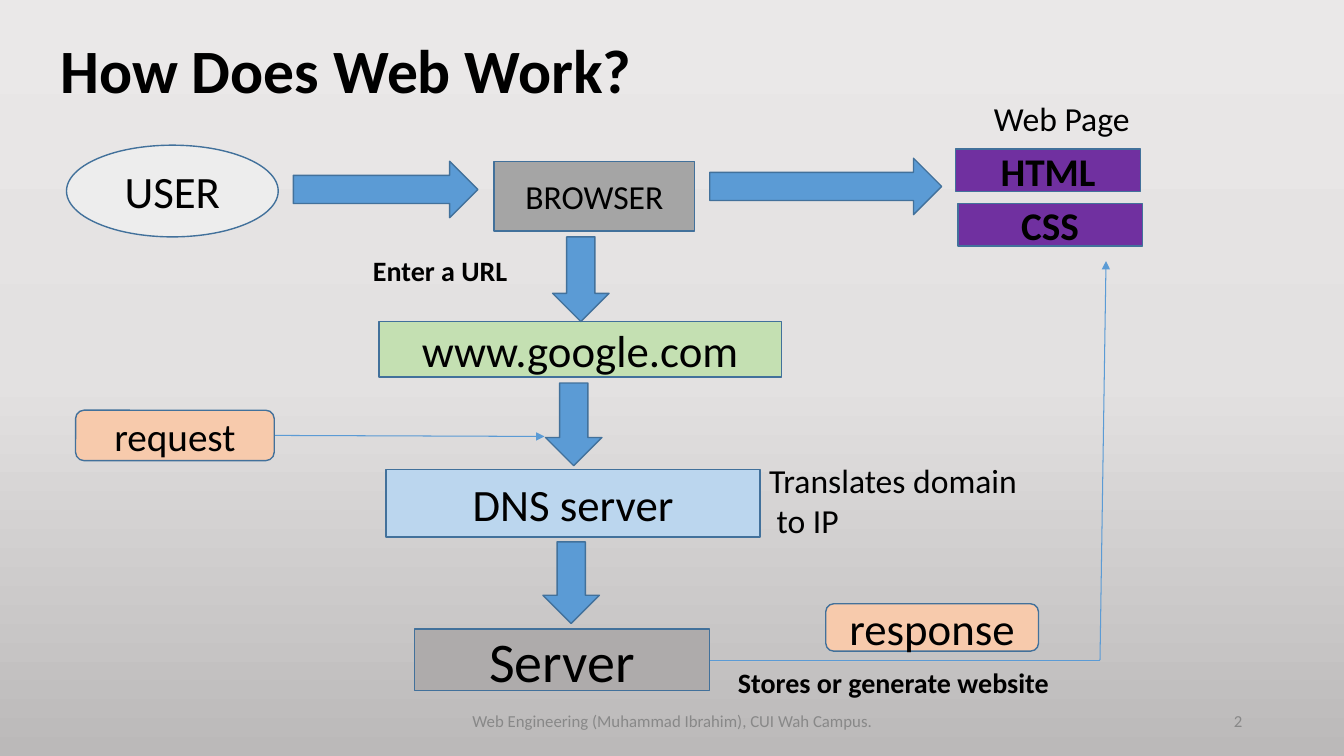
from copy import deepcopy
from dataclasses import dataclass

from lxml import etree
from pptx import Presentation
from pptx import util as u
from pptx.dml.color import RGBColor
from pptx.enum import shapes, text
from pptx.oxml.ns import qn

SHAPE = shapes.MSO_SHAPE
ALIGN = text.PP_ALIGN
ANCHOR = text.MSO_ANCHOR


@dataclass(frozen=True)
class Theme:
    font: str = "Calibri"
    ink: str = "000000"
    muted: str = "888888"
    accent: str = "5B9BD5"
    outline: str = "42719B"
    user: str = "EDEDED"
    browser: str = "A5A5A5"
    address: str = "C4E0B2"
    dns: str = "BBD6EE"
    server: str = "AEABAB"
    message: str = "F7CAAC"
    page: str = "7030A0"
    backdrop: tuple = ((0, "EAE8E8"), (0.5, "E3E1E1"), (1, "BBB9B9"))
    title: int = 44
    huge: int = 40
    large: int = 32
    medium: int = 28
    body: int = 24
    small: int = 20
    footer: int = 12


T = Theme()


def rgb(value):
    return RGBColor.from_string(value)


def inches(*values):
    return [u.Inches(v) for v in values]


def write(sp, lines, size, color=T.ink, bold=False, align=ALIGN.CENTER,
          anchor=ANCHOR.MIDDLE, wrap=True, spacing=1.0):
    tf = sp.text_frame
    tf.word_wrap = wrap
    tf.vertical_anchor = anchor
    for i, line in enumerate(lines.split("\n")):
        p = tf.paragraphs[0] if i == 0 else tf.add_paragraph()
        p.alignment = align
        p.line_spacing = spacing
        r = p.add_run()
        r.text = line
        formats = {"name": T.font, "size": u.Pt(size), "bold": bold}
        for key, value in formats.items():
            setattr(r.font, key, value)
        r.font.color.rgb = rgb(color)


def add_shape(s, kind, x, y, w, h, fill):
    sp = s.shapes.add_shape(kind, *inches(x, y, w, h))
    sp.shadow.inherit = False
    sp.fill.solid()
    sp.fill.fore_color.rgb = rgb(fill)
    sp.line.color.rgb = rgb(T.outline)
    sp.line.width = u.Pt(1)
    return sp


def add_node(s, kind, x, y, w, h, fill, label, size, bold=False):
    write(add_shape(s, kind, x, y, w, h, fill), label, size, bold=bold)


def add_text(s, x, y, w, h, label, size, **formats):
    write(s.shapes.add_textbox(*inches(x, y, w, h)), label, size, **formats)


def add_label(s, x, y, w, h, label, size, bold=False):
    add_text(s, x, y, w, h, label, size, bold=bold, align=ALIGN.LEFT,
             anchor=ANCHOR.TOP, wrap=False)


def add_arrow(s, x, y, length, rotation=0):
    sp = add_shape(s, SHAPE.RIGHT_ARROW, x, y, length, 0.56, T.accent)
    sp.rotation = rotation


def add_line(s, x1, y1, x2, y2, head=True):
    cx = s.shapes.add_connector(shapes.MSO_CONNECTOR.STRAIGHT,
                                *inches(x1, y1, x2, y2))
    cx.line.color.rgb = rgb(T.accent)
    cx.line.width = u.Pt(0.75)
    if head:
        etree.SubElement(cx.line._get_or_add_ln(), qn("a:tailEnd"),
                         type="triangle")
    etree.SubElement(cx._element.spPr, qn("a:effectLst"))


def paint_background(s):
    fill = s.background.fill
    fill.gradient()
    fill.gradient_angle = 270
    stops = s._element.find(".//" + qn("a:gsLst"))
    stops.append(deepcopy(stops[-1]))
    for stop, (position, color) in zip(fill.gradient_stops, T.backdrop):
        stop.position = position
        stop.color.rgb = rgb(color)


def add_header(s, x, y, w, h):
    add_text(s, x, y, w, h, "How Does Web Work?", T.title, bold=True,
             align=ALIGN.LEFT, spacing=0.9)


def add_client_row(s, x, y):
    add_node(s, SHAPE.OVAL, x, y, 2.1, 0.91, T.user, "USER", T.large)
    add_arrow(s, x + 2.25, y + 0.16, 1.83)
    add_node(s, SHAPE.RECTANGLE, x + 4.24, y + 0.16, 1.99, 0.69,
             T.browser, "BROWSER", T.body)
    add_arrow(s, x + 6.38, y + 0.13, 2.3)


def add_web_page(s, x, y):
    add_label(s, x + 0.28, y, 1.56, 0.5, "Web Page", T.body)
    for i, part in enumerate(("HTML", "CSS")):
        add_node(s, SHAPE.RECTANGLE, x + 0.02 * i, y + 0.56 + 0.54 * i,
                 1.83, 0.42, T.page, part, T.medium, bold=True)


def add_lookup_column(s, x, y):
    nodes = (
        (0.16, 0.7, 3.99, 0.55, T.address, "www.google.com", T.large),
        (0.23, 2.17, 3.71, 0.67, T.dns, "DNS server", T.large),
        (0.51, 3.75, 2.93, 0.61, T.server, "Server", T.huge),
    )
    for dx, dy, w, h, fill, label, size in nodes:
        add_node(s, SHAPE.RECTANGLE, x + dx, y + dy, w, h, fill, label, size)
    for dx, dy, length in ((1.74, 0, 0.84), (1.68, 1.44, 0.82),
                           (1.66, 3.01, 0.81)):
        add_arrow(s, x + dx, y + dy, length, 90)
    add_label(s, x, y - 0.02, 1.55, 0.44, "Enter a URL", T.small, bold=True)
    add_label(s, x + 3.93, y + 2.02, 2.68, 0.91,
              "Translates domain\n to IP", T.body)


def add_request(s, x, y):
    add_node(s, SHAPE.ROUNDED_RECTANGLE, x, y, 1.97, 0.5, T.message,
             "request", T.medium)
    add_line(s, x + 1.98, y + 0.25, x + 4.65, y + 0.26)


def add_response(s, x, y):
    add_node(s, SHAPE.ROUNDED_RECTANGLE, x + 1.15, y - 0.56, 2.11, 0.47,
             T.message, "response", T.large)
    add_line(s, x, y, x + 3.87, y, head=False)
    add_line(s, x + 3.87, y, x + 3.93, y - 3.96)
    add_label(s, x + 0.18, y, 3.31, 0.44, "Stores or generate website",
              T.small, bold=True)


def add_footer(s, x, y, h):
    add_text(s, x, y, 4.5, h,
             "Web Engineering (Muhammad Ibrahim), CUI Wah Campus.",
             T.footer, color=T.muted)
    add_text(s, x + 5, y, 3, h, "2", T.footer, color=T.muted,
             align=ALIGN.RIGHT)


def main():
    prs = Presentation()
    prs.slide_width, prs.slide_height = inches(13.33, 7.5)
    s = prs.slides.add_slide(prs.slide_layouts[6])
    paint_background(s)
    add_header(s, 0.5, 0, 11.5, 1.45)
    add_client_row(s, 0.66, 1.44)
    add_web_page(s, 9.48, 0.92)
    add_lookup_column(s, 3.6, 2.49)
    add_request(s, 0.75, 4.07)
    add_response(s, 7.04, 6.55)
    add_footer(s, 4.42, 6.95, 0.4)
    prs.save("out.pptx")


if __name__ == "__main__":
    main()
